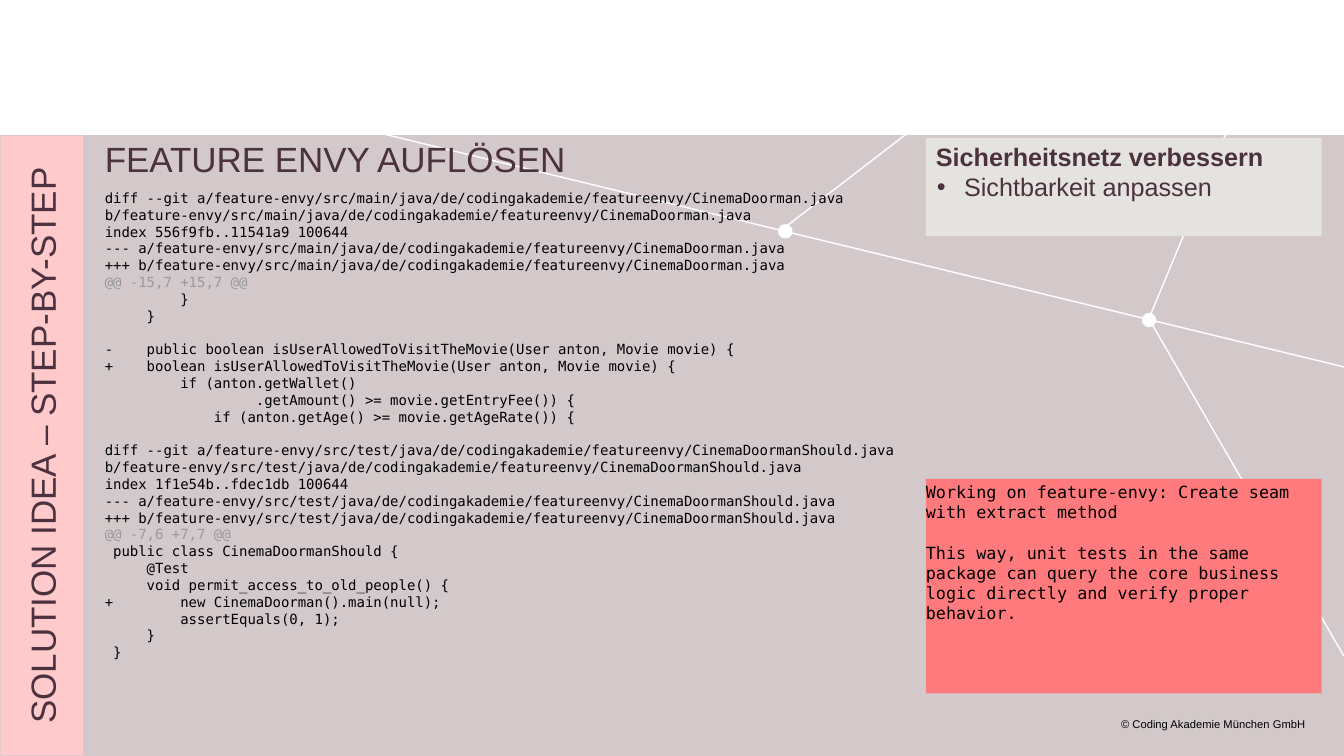
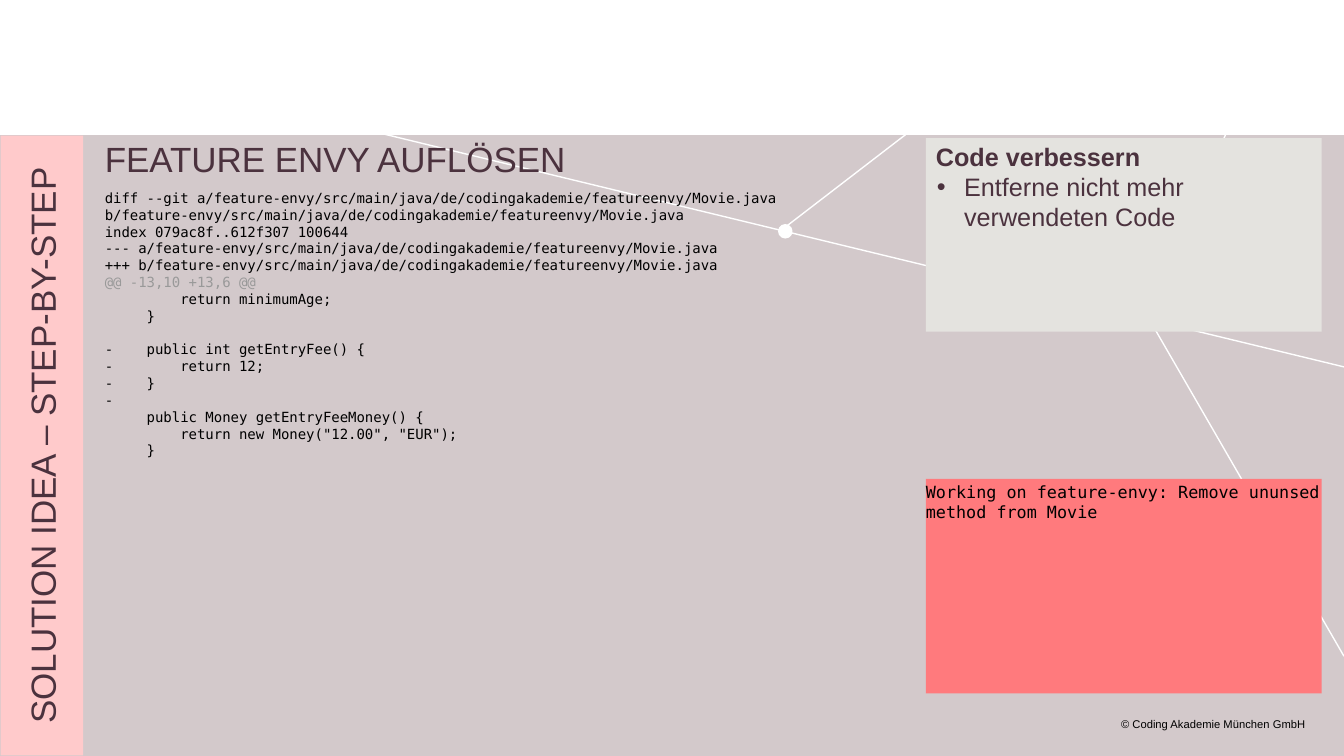
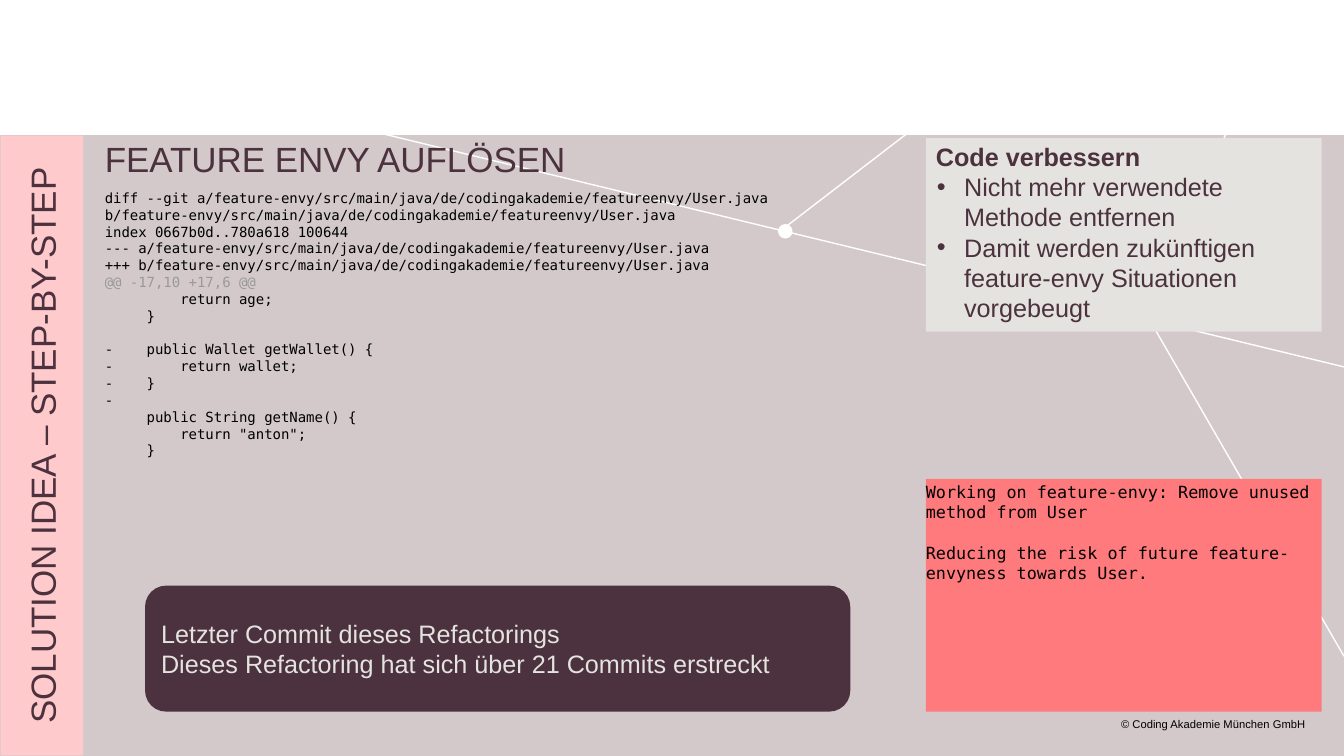
from lxml import etree
from pptx import Presentation
from pptx.dml.color import RGBColor
from pptx.enum.shapes import MSO_CONNECTOR, MSO_SHAPE
from pptx.enum.text import MSO_ANCHOR, MSO_AUTO_SIZE, PP_ALIGN
from pptx.oxml.ns import qn
from pptx.util import Inches, Pt

RECT, ROUNDED, OVAL = MSO_SHAPE.RECTANGLE, MSO_SHAPE.ROUNDED_RECTANGLE, MSO_SHAPE.OVAL
STRAIGHT = MSO_CONNECTOR.STRAIGHT
TOP, MIDDLE = MSO_ANCHOR.TOP, MSO_ANCHOR.MIDDLE
LEFT, CENTER, RIGHT = PP_ALIGN.LEFT, PP_ALIGN.CENTER, PP_ALIGN.RIGHT
NO_FIT, GROW = MSO_AUTO_SIZE.NONE, MSO_AUTO_SIZE.SHAPE_TO_FIT_TEXT

WIDTH, HEIGHT = 13.34, 7.5
WHITE, BLACK, GREY = "FFFFFF", "000000", "999999"
PLUM, MAUVE, STONE, PINK, CORAL = "4B323E", "D3C9CB", "E4E3DF", "FFCACB", "FF7A7D"

TITLE_FONT = dict(name="Arial", size=25, color=PLUM, bold=False)
FOOTER_FONT = dict(name="Arial", size=8, color=BLACK)
TASK_FONT = dict(name="Arial", size=18, color=PLUM, bold=False)
BANNER_FONT = dict(name="Arial", size=18, color=STONE)
CODE_FONT = dict(name="DejaVu Sans Mono", size=10, color=BLACK)
COMMIT_FONT = dict(name="DejaVu Sans Mono", size=12, color=BLACK)

BODY_TOP = 1.34
TEXT_LEFT = 1.04
SIDE_LEFT, SIDE_WIDTH = 9.19, 3.93
TASK_TOP, COMMIT_TOP = 1.37, 4.75
FLUSH = (0, 0.03, 0, 0)
LINE_FACTOR = 1.2  # height of a code line as a multiple of its font size

TITLE = "FEATURE ENVY AUFLÖSEN"
SIDEBAR = "SOLUTION IDEA – STEP-BY-STEP"
FOOTER = "© Coding Akademie München GmbH"

DOTS = [(11.34, 3.11), (7.73, 2.23)]
DOT_SIZE = 0.13
NET_LINES = [
    ((WIDTH, 3.64), (2.49, 1.01)),
    ((9.79, 0.72), (7.76, 2.28)),
    ((11.42, 3.19), (WIDTH, 6.51)),
    ((11.4, 3.17), (12.3, 1.01)),
]

SOURCE_FILE = "feature-envy/src/{}/java/de/codingakademie/featureenvy/{}.java"


def diff_head(tree, class_name, index, hunk):
    file = SOURCE_FILE.format(tree, class_name)
    return [
        f"diff --git a/{file} b/{file}",
        f"index {index} 100644",
        f"--- a/{file}",
        f"+++ b/{file}",
        f"@@ {hunk} @@",
    ]


DOORMAN_DIFF = [
    *diff_head("main", "CinemaDoorman", "556f9fb..11541a9", "-15,7 +15,7"),
    "         }",
    "     }",
    "",
    "-    public boolean isUserAllowedToVisitTheMovie(User anton, Movie movie) {",
    "+    boolean isUserAllowedToVisitTheMovie(User anton, Movie movie) {",
    "         if (anton.getWallet()",
    "                  .getAmount() >= movie.getEntryFee()) {",
    "             if (anton.getAge() >= movie.getAgeRate()) {",
    "",
    *diff_head("test", "CinemaDoormanShould", "1f1e54b..fdec1db", "-7,6 +7,7"),
    " public class CinemaDoormanShould {",
    "     @Test",
    "     void permit_access_to_old_people() {",
    "+        new CinemaDoorman().main(null);",
    "         assertEquals(0, 1);",
    "     }",
    " }",
]

MOVIE_DIFF = [
    *diff_head("main", "Movie", "079ac8f..612f307", "-13,10 +13,6"),
    "         return minimumAge;",
    "     }",
    "",
    "-    public int getEntryFee() {",
    "-        return 12;",
    "-    }",
    "-",
    "     public Money getEntryFeeMoney() {",
    '         return new Money("12.00", "EUR");',
    "     }",
]

USER_DIFF = [
    *diff_head("main", "User", "0667b0d..780a618", "-17,10 +17,6"),
    "         return age;",
    "     }",
    "",
    "-    public Wallet getWallet() {",
    "-        return wallet;",
    "-    }",
    "-",
    "     public String getName() {",
    '         return "anton";',
    "     }",
]

STEPS = [
    dict(diff=DOORMAN_DIFF, code_size=(11.22, 3.91),
         task="Sicherheitsnetz verbessern", points=["Sichtbarkeit anpassen"],
         task_height=0.97, commit_height=2.13, banner=[],
         commit=["Working on feature-envy: Create seam with extract method",
                 "",
                 "This way, unit tests in the same package can query the core business",
                 "logic directly and verify proper behavior."]),
    dict(diff=MOVIE_DIFF, code_size=(10.76, 5.49),
         task="Code verbessern", points=["Entferne nicht mehr verwendeten Code"],
         task_height=1.92, commit_height=2.13, banner=[],
         commit=["Working on feature-envy: Remove ununsed method from Movie"]),
    dict(diff=USER_DIFF, code_size=(10.76, 5.49),
         task="Code verbessern",
         points=["Nicht mehr verwendete Methode entfernen",
                 "Damit werden zukünftigen feature-envy Situationen vorgebeugt"],
         task_height=1.92, commit_height=2.31,
         banner=["Letzter Commit dieses Refactorings",
                 "Dieses Refactoring hat sich über 21 Commits erstreckt"],
         commit=["Working on feature-envy: Remove unused method from User",
                 "",
                 "Reducing the risk of future feature-envyness towards User."]),
]


def rgb(code):
    return RGBColor.from_string(code)


def set_font(font, **values):
    for key, value in values.items():
        if key == "color":
            font.color.rgb = rgb(value)
        else:
            setattr(font, key, Pt(value) if key == "size" else value)


def set_frame(box, insets=None, anchor=TOP, fit=NO_FIT):
    frame = box.text_frame
    values = dict(word_wrap=True, vertical_anchor=anchor, auto_size=fit)
    if insets:
        sides = ("margin_left", "margin_top", "margin_right", "margin_bottom")
        values.update(zip(sides, map(Inches, insets)))
    for key, value in values.items():
        setattr(frame, key, value)
    return frame


def add_block(shapes, kind, place, fill, line=None):
    block = shapes.add_shape(kind, *map(Inches, place))
    block.shadow.inherit = False
    block.fill.solid()
    block.fill.fore_color.rgb = rgb(fill)
    if line:
        block.line.color.rgb = rgb(line)
        block.line.width = Pt(1)
    else:
        block.line.fill.background()
    return block


def write(frame, lines, font, align=LEFT):
    """Write one paragraph a line; an empty line becomes space before the next."""
    paras, gap = [], 0
    for line in lines:
        if not line:
            gap += font["size"] * LINE_FACTOR
            continue
        para = frame.add_paragraph() if paras else frame.paragraphs[0]
        para.alignment = align
        if gap:
            para.space_before = Pt(gap)
        span = para.add_run()
        span.text = line
        set_font(span.font, **font)
        paras.append(para)
        gap = 0
    return paras


def indent(para, left, first=0, bullet=None):
    props = para._p.get_or_add_pPr()
    props.set("marL", str(Inches(left)))
    props.set("indent", str(Inches(first)))
    if bullet:
        etree.SubElement(props, qn("a:buFont")).set("typeface", "Arial")
        etree.SubElement(props, qn("a:buChar")).set("char", bullet)


def build_layout(layout, page):
    """Draw the shared parts on a page and move them to its layout."""
    for holder in list(layout.placeholders)[1:]:
        holder.element.getparent().remove(holder.element)
    shapes = page.shapes
    parts = [add_block(shapes, RECT, (0, BODY_TOP, WIDTH, HEIGHT - BODY_TOP), MAUVE)]
    for left, top in DOTS:
        parts.append(add_block(shapes, OVAL, (left, top, DOT_SIZE, DOT_SIZE), WHITE, WHITE))
    for start, end in NET_LINES:
        line = shapes.add_connector(STRAIGHT, *map(Inches, start + end))
        line.line.color.rgb = rgb(WHITE)
        line.line.width = Pt(1)
        etree.SubElement(line.element.spPr, qn("a:effectLst"))
        parts.append(line)

    sidebar = add_block(shapes, RECT, (-2.66, 4.01, 6.15, 0.82), PINK)
    sidebar.rotation = 270
    write(set_frame(sidebar, anchor=MIDDLE), [SIDEBAR], TITLE_FONT, CENTER)
    footer = shapes.add_textbox(*map(Inches, (9.03, 7.13, 3.93, 0.13)))
    frame = set_frame(footer, (0, 0, 0, 0), MIDDLE, GROW)
    write(frame, [FOOTER], FOOTER_FONT, RIGHT)[0].line_spacing = 0.93
    for part in parts + [sidebar, footer]:
        layout.shapes.element.append(part.element)


def fill_page(page, step):
    title = page.shapes.title
    title.left, title.top, title.width, title.height = map(Inches, (TEXT_LEFT, 1.36, 11.22, 0.42))
    write(set_frame(title, (0, 0, 0, 0), fit=GROW), [TITLE], TITLE_FONT)

    code = page.shapes.add_textbox(*map(Inches, (TEXT_LEFT, 1.85, *step["code_size"])))
    for para in write(set_frame(code, FLUSH), step["diff"], CODE_FONT):
        if para.text.startswith("@@"):
            set_font(para.runs[0].font, color=GREY)

    task = add_block(page.shapes, RECT, (SIDE_LEFT, TASK_TOP, SIDE_WIDTH, step["task_height"]), STONE)
    heading, *points = write(set_frame(task, FLUSH), [step["task"], *step["points"]], TASK_FONT)
    heading.runs[0].font.bold = True
    indent(heading, 0.1)
    for point in points:
        indent(point, 0.38, -0.27, "•")

    commit = add_block(page.shapes, RECT,
                       (SIDE_LEFT, COMMIT_TOP, SIDE_WIDTH, step["commit_height"]), CORAL)
    write(set_frame(commit, FLUSH), step["commit"], COMMIT_FONT)

    if step["banner"]:
        banner = add_block(page.shapes, ROUNDED, (1.44, 5.81, 7, 1.25), PLUM)
        write(set_frame(banner, anchor=MIDDLE), step["banner"], BANNER_FONT)


def main():
    deck = Presentation()
    deck.slide_width, deck.slide_height = Inches(WIDTH), Inches(HEIGHT)
    layout = deck.slide_layouts.get_by_name("Title Only")
    pages = [deck.slides.add_slide(layout) for _ in STEPS]
    build_layout(layout, pages[0])
    for page, step in zip(pages, STEPS):
        fill_page(page, step)
    deck.save("out.pptx")


if __name__ == "__main__":
    main()
